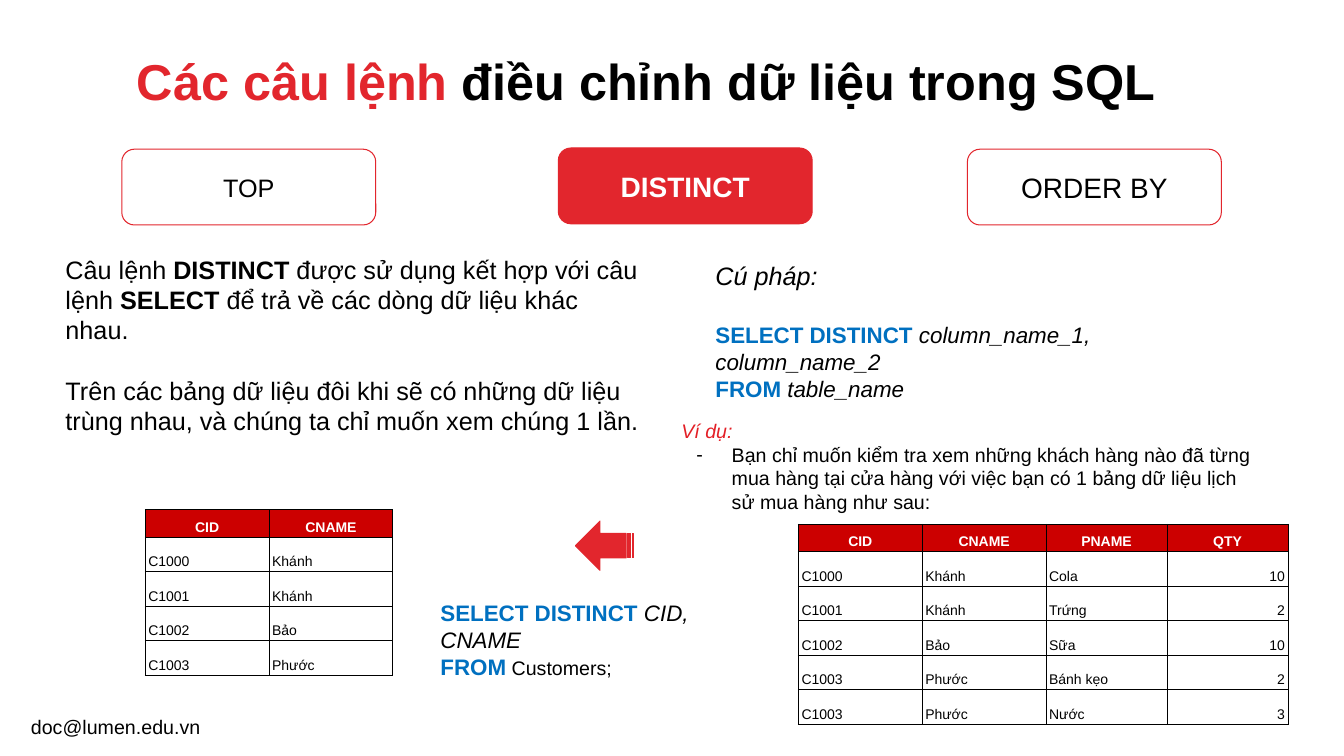
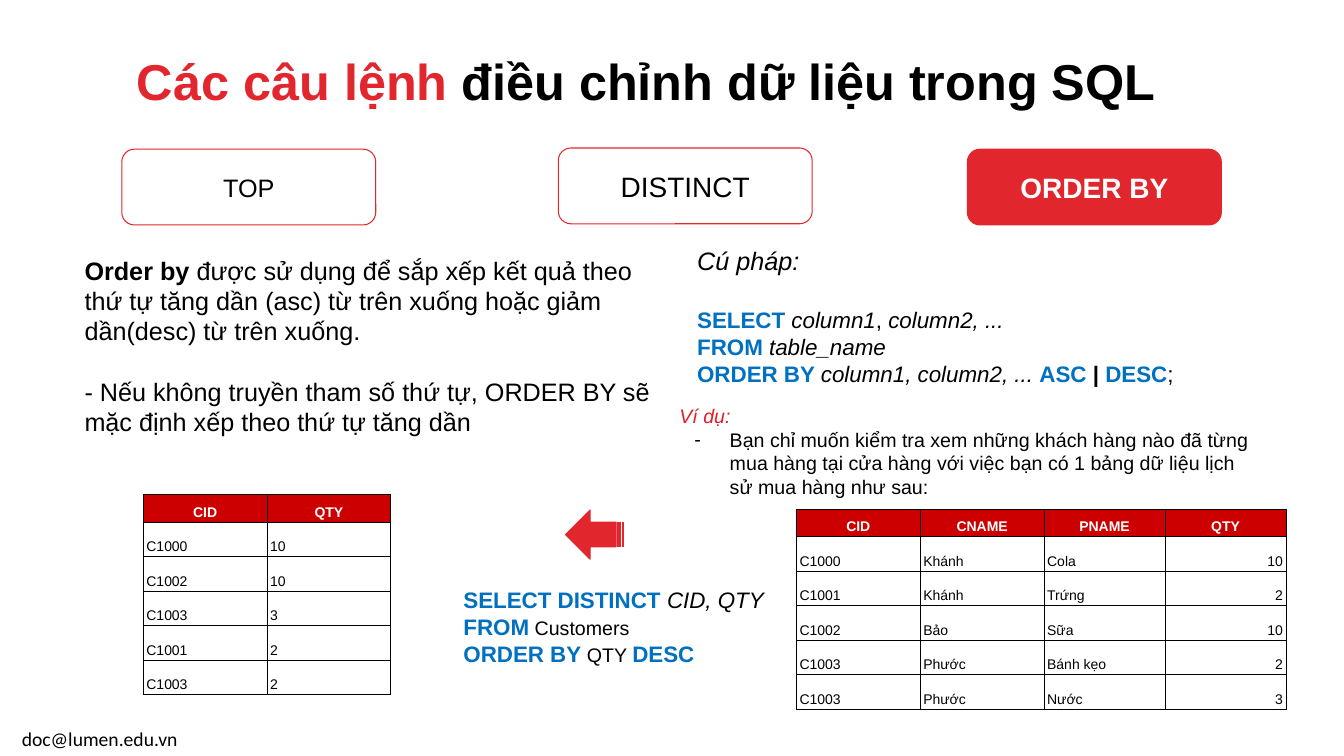
from lxml import etree
from pptx import Presentation
from pptx.dml.color import RGBColor
from pptx.enum.shapes import MSO_SHAPE
from pptx.enum.text import MSO_ANCHOR, MSO_AUTO_SIZE, PP_ALIGN
from pptx.oxml.ns import qn
from pptx.util import Cm, Pt

ROUNDED, ARROW = MSO_SHAPE.ROUNDED_RECTANGLE, MSO_SHAPE.STRIPED_RIGHT_ARROW
TOP, MIDDLE, BOTTOM = MSO_ANCHOR.TOP, MSO_ANCHOR.MIDDLE, MSO_ANCHOR.BOTTOM
LEFT, CENTER, RIGHT = PP_ALIGN.LEFT, PP_ALIGN.CENTER, PP_ALIGN.RIGHT
NO_FIT = MSO_AUTO_SIZE.NONE

COLORS = {"black": "000000", "white": "FFFFFF", "red": "E2262D",
          "example": "E31F26", "header": "CC0000", "keyword": "0070C0"}

# Run styles: colour, size, bold, italic
STYLES = {
    "title": ("black", 36, True, False),
    "title_red": ("red", 36, True, False),
    "text": ("black", 18, False, False),
    "strong": ("black", 18, True, False),
    "label": ("black", 18, False, True),
    "example": ("example", 14, False, True),
    "small": ("black", 14, False, False),
    "keyword": ("keyword", 16, True, False),
    "arg": ("black", 16, False, True),
    "mark": ("black", 16, False, False),
    "mark_bold": ("black", 16, True, False),
    "tab": ("black", 20, False, False),
    "tab_on": ("white", 20, True, False),
    "head": ("white", 10, True, False),
    "cell": ("black", 10, False, False),
}

TABS = [("TOP", 3.07, 3.76, "text"), ("DISTINCT", 14.07, 3.73, "tab"),
        ("ORDER BY", 24.38, 3.76, "tab")]
EXAMPLE = [
    [("Ví dụ:", "example")],
    [("Bạn chỉ muốn kiểm tra xem những khách hàng nào đã từng mua hàng tại "
      "cửa hàng với việc bạn có 1 bảng dữ liệu lịch sử mua hàng như sau:", "small")],
]
ORDERS = [
    ("CID", "CNAME", "PNAME", "QTY"),
    ("C1000", "Khánh", "Cola", "10"),
    ("C1001", "Khánh", "Trứng", "2"),
    ("C1002", "Bảo", "Sữa", "10"),
    ("C1003", "Phước", "Bánh kẹo", "2"),
    ("C1003", "Phước", "Nước", "3"),
]
BLANK_LINE = 21.6


def rgb(name):
    return RGBColor.from_string(COLORS[name])


class Deck:
    def __init__(self):
        self.prs = Presentation()
        self.prs.slide_width, self.prs.slide_height = Cm(33.87), Cm(19.05)
        self.s = None

    def add_run(self, p, text, style, font="Arial"):
        color, size, bold, italic = STYLES[style]
        r = p.add_run()
        r.text = text
        f = r.font
        f.name, f.size, f.bold, f.italic = font, Pt(size), bold, italic
        f.color.rgb = rgb(color)

    def fill_text(self, tf, paragraphs, inset=0.25, align=LEFT, anchor=TOP,
                  gap=0, bullet=None, font="Arial"):
        """Write paragraphs of runs; the second one gets the gap or the bullet."""
        tf.word_wrap, tf.auto_size, tf.vertical_anchor = True, NO_FIT, anchor
        tf.margin_left = tf.margin_right = Cm(0.25)
        tf.margin_top = tf.margin_bottom = Cm(inset)
        for i, runs in enumerate(paragraphs):
            p = tf.paragraphs[0] if i == 0 else tf.add_paragraph()
            self.set_bullet(p, bullet if i == 1 else None)
            p.alignment = align
            p.space_before = Pt(gap if i == 1 else 0)
            for text, style in runs:
                self.add_run(p, text, style, font)

    def set_bullet(self, p, char):
        pPr = p._p.get_or_add_pPr()
        pPr.set("marL", str(Cm(1.27) if char else 0))
        pPr.set("indent", str(Cm(-0.89) if char else 0))
        if not char:
            etree.SubElement(pPr, qn("a:buNone"))
            return
        clr = etree.SubElement(pPr, qn("a:buClr"))
        etree.SubElement(clr, qn("a:srgbClr"), val=COLORS["black"])
        etree.SubElement(pPr, qn("a:buFont"), typeface="Arial")
        etree.SubElement(pPr, qn("a:buChar"), char=char)

    def placeholder(self, idx, box, paragraphs, **options):
        sp = self.s.placeholders[idx]
        sp.left, sp.top, sp.width, sp.height = map(Cm, box)
        self.fill_text(sp.text_frame, paragraphs, **options)

    def text(self, box, paragraphs, **options):
        sp = self.s.shapes.add_textbox(*map(Cm, box))
        self.fill_text(sp.text_frame, paragraphs, **options)

    def shape(self, kind, box, fill):
        sp = self.s.shapes.add_shape(kind, *map(Cm, box))
        sp.shadow.inherit = False
        sp.fill.solid()
        sp.fill.fore_color.rgb = rgb(fill)
        sp.line.color.rgb = rgb("red")
        sp.line.width = Pt(0.75)
        return sp

    def tabs(self, active):
        for name, x, y, style in TABS:
            on = name == active
            sp = self.shape(ROUNDED, (x, y, 6.4, 1.91), "red" if on else "white")
            self.fill_text(sp.text_frame, [[(name, "tab_on" if on else style)]],
                           align=CENTER, anchor=MIDDLE)

    def arrow(self, x, y):
        sp = self.shape(ARROW, (x, y, 1.47, 1.24), "red")
        sp.rotation = 180

    def table(self, x, y, rows, widths, right_col=None):
        heights = [0.69] + [0.87] * (len(rows) - 1)
        frame = self.s.shapes.add_table(len(rows), len(widths), Cm(x), Cm(y),
                                        Cm(sum(widths)), Cm(sum(heights)))
        tbl = frame.table
        tbl.first_row = tbl.horz_banding = False
        for column, width in zip(tbl.columns, widths):
            column.width = Cm(width)
        for i, values in enumerate(rows):
            tbl.rows[i].height = Cm(heights[i])
            for j, value in enumerate(values):
                align = CENTER if i == 0 else RIGHT if j == right_col else LEFT
                self.cell(tbl.cell(i, j), value, i == 0, align)

    def cell(self, cell, value, header, align):
        cell.margin_left = cell.margin_right = Cm(0.08)
        cell.margin_top = cell.margin_bottom = Cm(0.05)
        cell.vertical_anchor = BOTTOM
        # Thin black border on all four sides
        tcPr = cell._tc.get_or_add_tcPr()
        for side in ("lnL", "lnR", "lnT", "lnB"):
            ln = etree.SubElement(tcPr, qn("a:" + side), w=str(Pt(0.75)))
            solid = etree.SubElement(ln, qn("a:solidFill"))
            etree.SubElement(solid, qn("a:srgbClr"), val=COLORS["black"])
        if header:
            cell.fill.solid()
            cell.fill.fore_color.rgb = rgb("header")
        else:
            cell.fill.background()
        p = cell.text_frame.paragraphs[0]
        p.alignment, p.line_spacing = align, 1.15
        self.add_run(p, value, "head" if header else "cell")

    def lesson(self, active, intro, intro_at, syntax, syntax_at, query, query_at,
               result, arrow_at, shift, email_box, email_style):
        """One command slide; shift moves the example and both tables."""
        dx, dy = shift
        self.s = self.prs.slides.add_slide(self.prs.slide_layouts[3])
        self.placeholder(0, (1.93, 1.12, 28.73, 1.8),
                         [[("Các câu lệnh", "title_red"),
                           (" điều chỉnh dữ liệu trong SQL", "title")]],
                         inset=0.13, align=CENTER, anchor=MIDDLE)
        self.tabs(active)
        # Explanation and syntax
        self.placeholder(1, (*intro_at, 14.99, 5.64), intro, inset=0.13, gap=BLANK_LINE)
        self.text((*syntax_at, 13.67, 4.4), [[("Cú pháp:", "label")]] + syntax,
                  gap=BLANK_LINE)
        # Example: orders, query and result
        self.placeholder(2, (16.92 + dx, 10.31 + dy, 14.99, 2.9), EXAMPLE, bullet="-")
        self.table(20.12 + dx, 13.21 + dy, ORDERS, [3.12, 3.12, 3.05, 3.05], right_col=3)
        self.arrow(*arrow_at)
        self.text((*query_at, 8.33, 2.57), query)
        self.table(3.66 + dx, 12.85 + dy, result, [3.12, 3.12])
        # Footer
        self.text(email_box, [[("doc@lumen.edu.vn", "small")]], **email_style)


def main():
    deck = Deck()
    deck.lesson(
        "DISTINCT",
        intro=[
            [("Câu lệnh ", "text"), ("DISTINCT", "strong"),
             (" được sử dụng kết hợp với câu lệnh ", "text"), ("SELECT ", "strong"),
             ("để trả về các dòng dữ liệu khác nhau.", "text")],
            [("Trên các bảng dữ liệu đôi khi sẽ có những dữ liệu trùng nhau, "
              "và chúng ta chỉ muốn xem chúng 1 lần.", "text")],
        ],
        intro_at=(1.4, 6.27),
        syntax=[
            [("SELECT DISTINCT ", "keyword"), ("column_name_1, column_name_2", "arg")],
            [("FROM ", "keyword"), ("table_name", "arg")],
        ],
        syntax_at=(17.78, 6.32),
        query=[
            [("SELECT DISTINCT ", "keyword"), ("CID, CNAME", "arg")],
            [("FROM", "keyword"), (" Customers;", "small")],
        ],
        query_at=(10.85, 14.86),
        result=[("CID", "CNAME"), ("C1000", "Khánh"), ("C1001", "Khánh"),
                ("C1002", "Bảo"), ("C1003", "Phước")],
        arrow_at=(14.5, 13.13), shift=(0, 0),
        email_box=(0.53, 17.88, 6.4, 0.86), email_style={"inset": 0.13})
    deck.lesson(
        "ORDER BY",
        intro=[
            [("Order by", "strong"),
             (" được sử dụng để sắp xếp kết quả theo thứ tự tăng dần (asc) từ trên "
              "xuống hoặc giảm dần(desc) từ trên xuống.", "text")],
            [("- Nếu không truyền tham số thứ tự, ORDER BY sẽ mặc định xếp theo "
              "thứ tự tăng dần", "text")],
        ],
        intro_at=(1.88, 6.3),
        syntax=[
            [("SELECT ", "keyword"), ("column1", "arg"), (",", "mark"),
             (" column2, ...", "arg")],
            [("FROM ", "keyword"), ("table_name", "arg")],
            [("ORDER BY ", "keyword"), ("column1, column2, ... ", "arg"),
             ("ASC ", "keyword"), ("| ", "mark_bold"), ("DESC", "keyword"), (";", "mark")],
        ],
        syntax_at=(17.32, 5.94),
        query=[
            [("SELECT DISTINCT ", "keyword"), ("CID, QTY", "arg")],
            [("FROM", "keyword"), (" Customers", "small")],
            [("ORDER BY", "keyword"), (" QTY ", "small"), ("DESC", "keyword")],
        ],
        query_at=(11.43, 14.53),
        result=[("CID", "QTY"), ("C1000", "10"), ("C1002", "10"), ("C1003", "3"),
                ("C1001", "2"), ("C1003", "2")],
        arrow_at=(14.25, 12.85), shift=(-0.05, -0.38),
        email_box=(0.3, 18.06, 4.9, 1.12), email_style={"font": "Calibri"})
    deck.prs.save("out.pptx")


if __name__ == "__main__":
    main()
